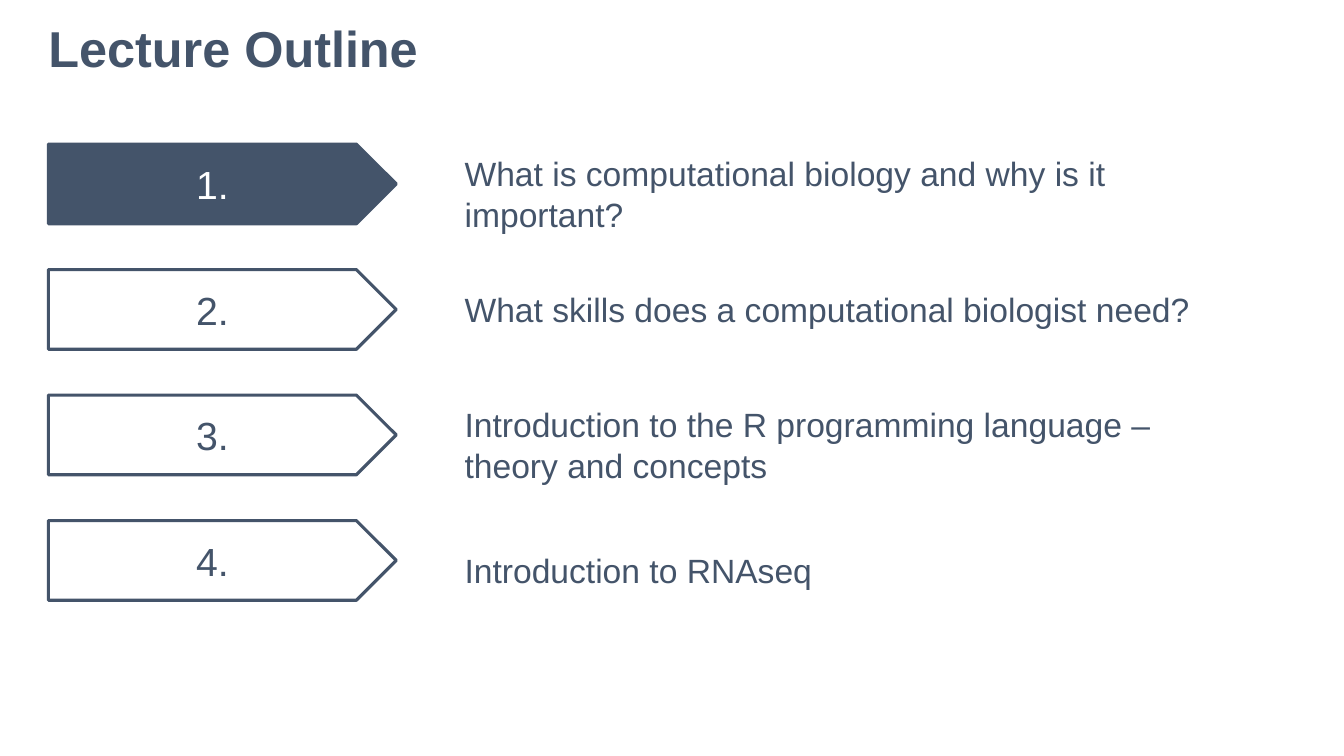
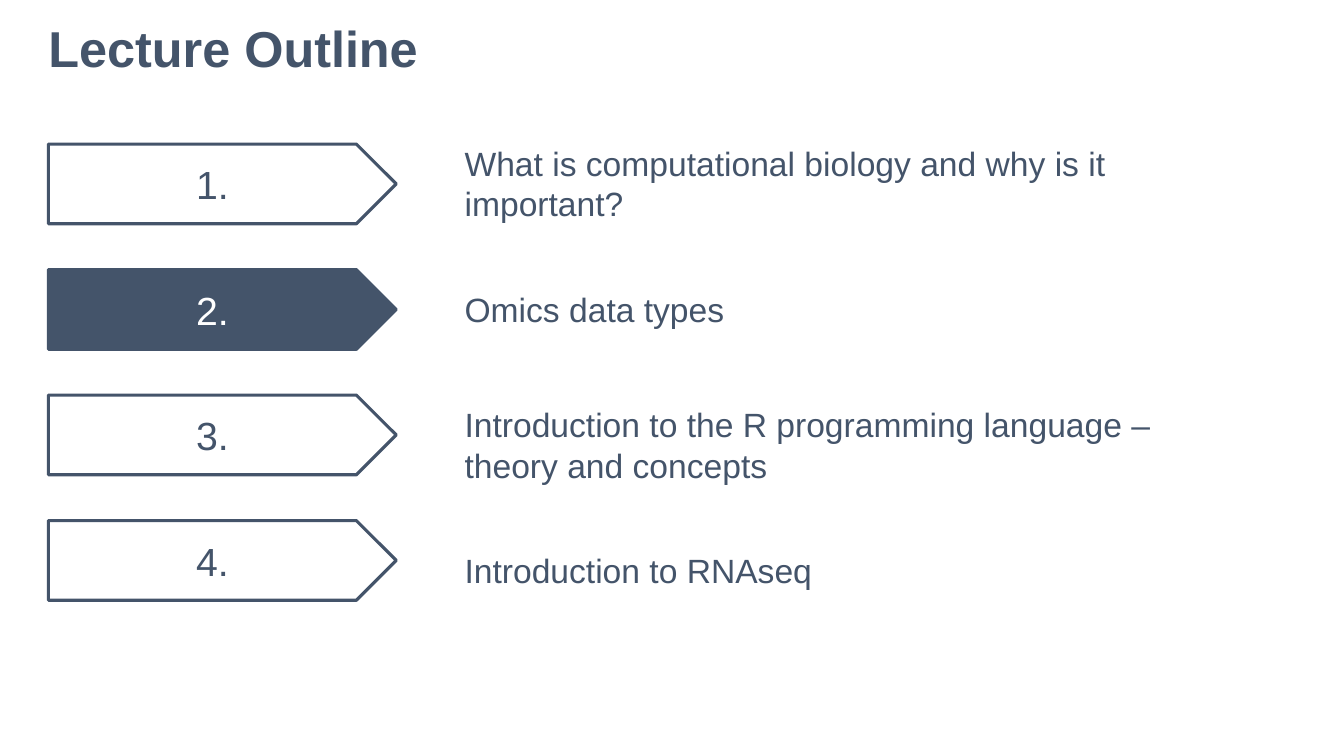
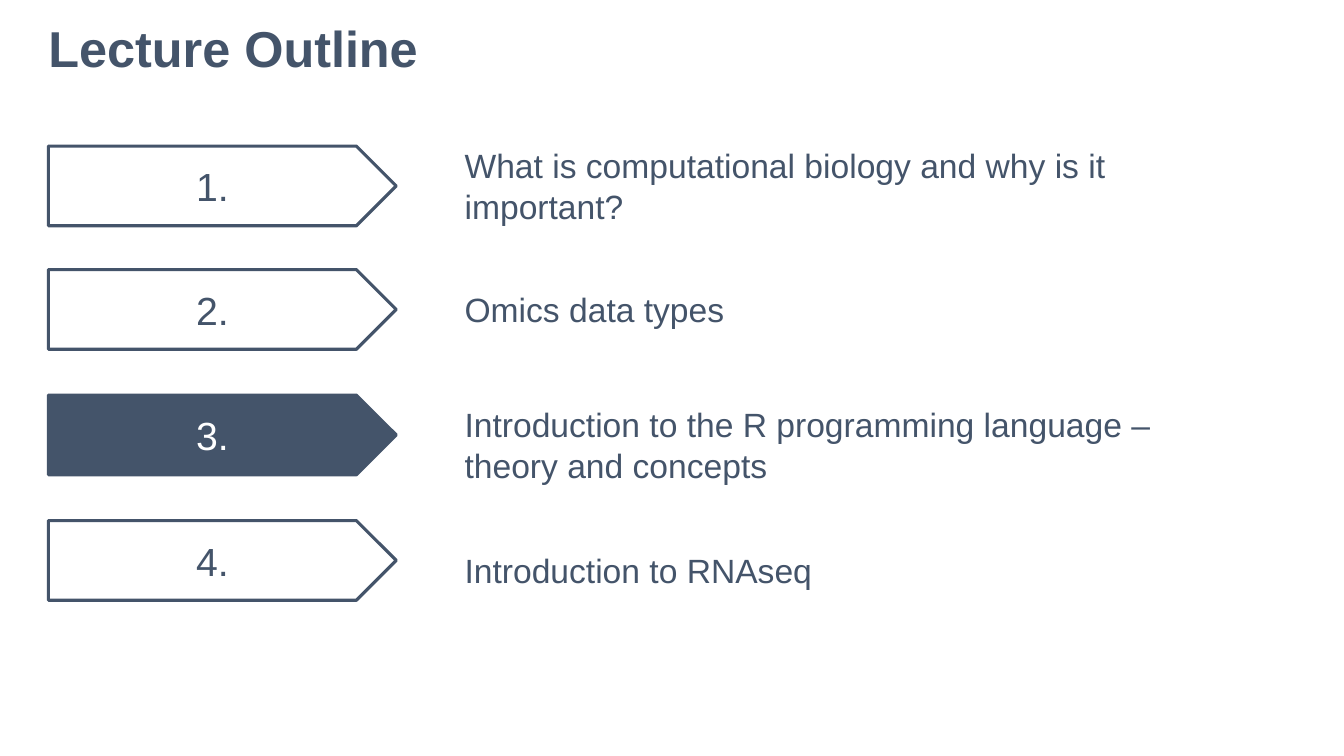
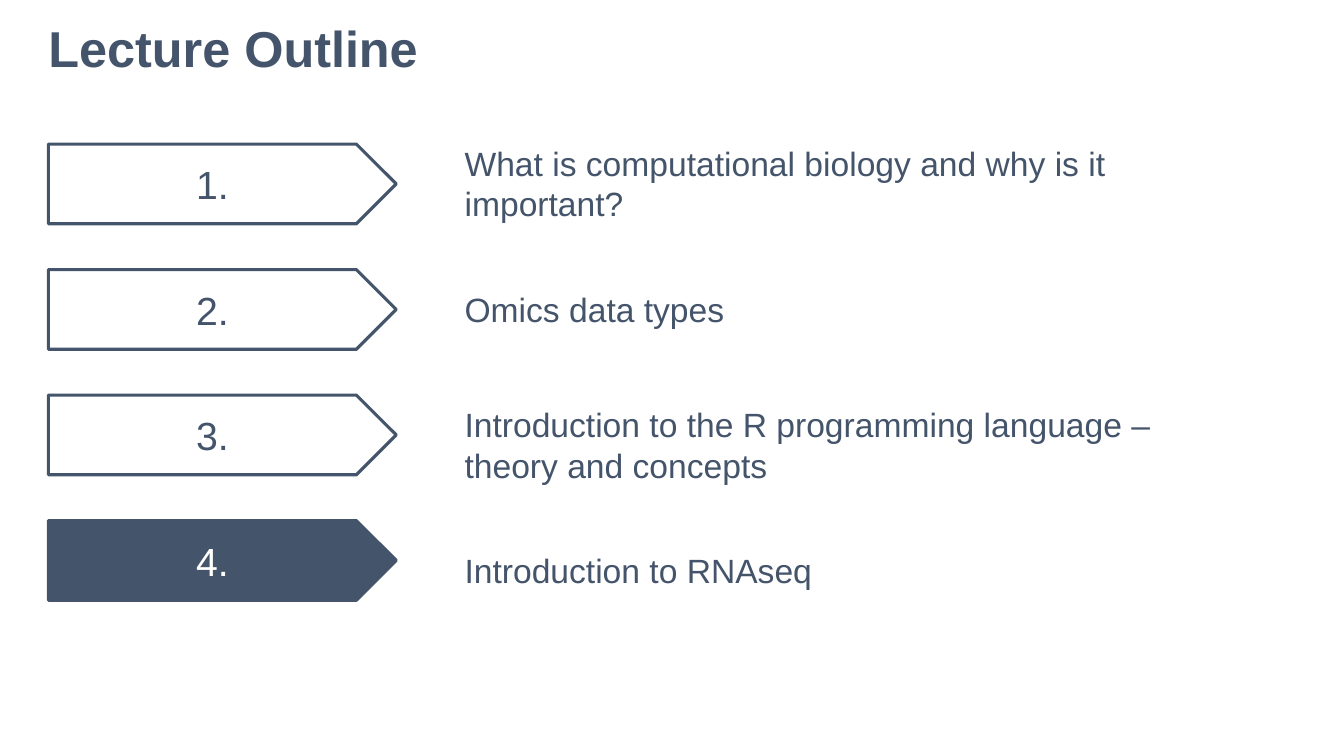
from pptx import Presentation
from pptx.dml.color import RGBColor
from pptx.enum.shapes import MSO_SHAPE
from pptx.enum.text import MSO_ANCHOR, MSO_AUTO_SIZE, PP_ALIGN
from pptx.util import Inches, Pt

NAVY, WHITE = "44546A", "FFFFFF"
LEFT, TOP, PITCH = 0.48, 1.43, 1.245
ARROW_W, ARROW_H = 3.45, 0.79
TEXT_X, TEXT_W = 4.51, 7.57
ONE_LINE, TWO_LINES = 0.5, 0.91

WHY = "What is computational biology and why is it important?"
SKILLS = "What skills does a computational biologist need?"
OMICS = "Omics data types"
# Topic, text top, text height
LATER = [
    ("Introduction to the R programming language – theory and concepts",
     3.96, TWO_LINES),
    ("Introduction to RNAseq", 5.41, ONE_LINE),
]
# Second topic, top of the first arrow, top of the first text
SLIDES = [
    (SKILLS, TOP, 1.47),
    (OMICS, TOP, 1.37),
    (OMICS, 1.45, 1.39),
    (OMICS, TOP, 1.37),
]


def color(text):
    return RGBColor.from_string(text)


def assign(target, values):
    """Set each named attribute of target."""
    for name, value in values.items():
        setattr(target, name, value)


def write(shape, text, size, ink, para=None, bold=False, **frame):
    """Fill a shape with one formatted paragraph."""
    assign(shape.text_frame, {"word_wrap": True, **frame})
    first = shape.text_frame.paragraphs[0]
    first.text = text
    assign(first, para or {})
    font = first.runs[0].font
    assign(font, {"name": "Arial", "size": Pt(size), "bold": bold})
    font.color.rgb = color(ink)


def add_title(slide, text):
    title = slide.shapes.title
    assign(title, {"left": Inches(LEFT), "top": Inches(0.24),
                   "width": Inches(12.02), "height": Inches(0.87)})
    write(title, text, 36, NAVY, bold=True,
          para={"alignment": PP_ALIGN.LEFT, "line_spacing": 0.9},
          vertical_anchor=MSO_ANCHOR.TOP, auto_size=MSO_AUTO_SIZE.NONE,
          margin_left=0, margin_right=0, margin_top=0, margin_bottom=0)


def add_arrow(slide, number, top, active):
    arrow = slide.shapes.add_shape(
        MSO_SHAPE.PENTAGON, Inches(LEFT), Inches(top),
        Inches(ARROW_W), Inches(ARROW_H))
    arrow.shadow.inherit = False
    arrow.fill.solid()
    arrow.fill.fore_color.rgb = color(NAVY if active else WHITE)
    arrow.line.color.rgb = color(NAVY)
    arrow.line.width = Pt(2.25)
    write(arrow, f"{number}.", 28, WHITE if active else NAVY,
          para={"alignment": PP_ALIGN.CENTER},
          vertical_anchor=MSO_ANCHOR.MIDDLE)


def add_topic(slide, text, top, height):
    box = slide.shapes.add_textbox(
        Inches(TEXT_X), Inches(top), Inches(TEXT_W), Inches(height))
    write(box, text, 24, NAVY, auto_size=MSO_AUTO_SIZE.SHAPE_TO_FIT_TEXT)


def add_outline(deck, current, second, arrow_top, text_top):
    """Add an outline slide with the current topic's arrow filled."""
    slide = deck.slides.add_slide(deck.slide_layouts.get_by_name("Title Only"))
    add_title(slide, "Lecture Outline")
    topics = [(WHY, text_top, TWO_LINES), (second, 2.82, ONE_LINE), *LATER]
    for number, topic in enumerate(topics, 1):
        top = arrow_top if number == 1 else TOP + (number - 1) * PITCH
        add_arrow(slide, number, top, number == current)
        add_topic(slide, *topic)


def main():
    deck = Presentation()
    assign(deck, {"slide_width": Inches(13.33), "slide_height": Inches(7.5)})
    for current, details in enumerate(SLIDES, 1):
        add_outline(deck, current, *details)
    deck.save("out.pptx")


if __name__ == "__main__":
    main()
